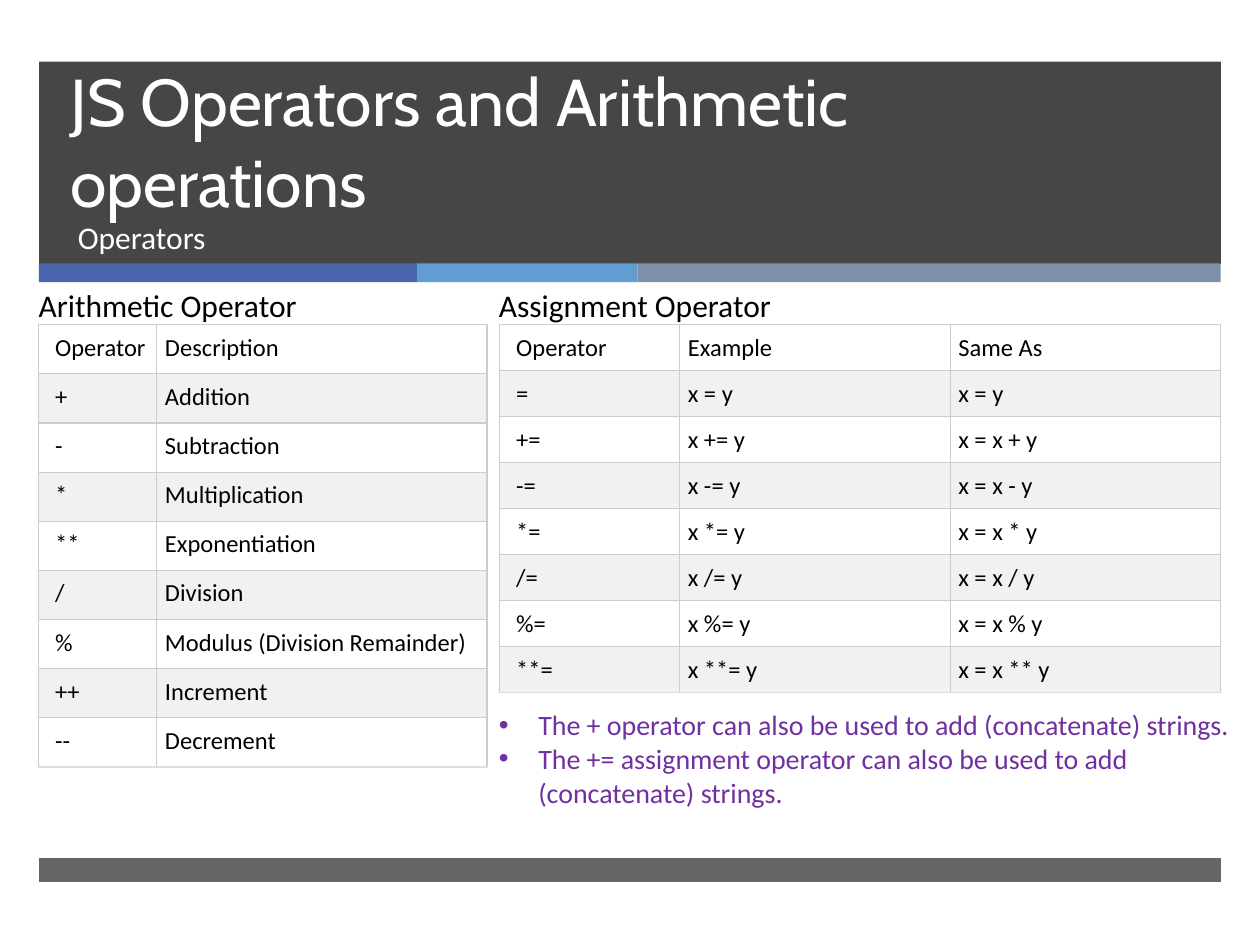
from lxml.etree import SubElement
from pptx import Presentation
from pptx.dml.color import RGBColor
from pptx.enum.shapes import MSO_SHAPE as Preset
from pptx.enum.text import MSO_ANCHOR as Anchor, MSO_AUTO_SIZE as AutoSize, PP_ALIGN as Align
from pptx.oxml.ns import qn
from pptx.util import Pt

COLORS = {
    "dark": "262626", "blue": "4A66AC", "sky": "629DD1", "slate": "7F8FA9",
    "white": "FFFFFF", "black": "000000", "purple": "7030A0",
    "stripe": "F1F1F1", "grid": "CCCCCC", "table_end": "DDDDDD",
}


def write(frame, *lines, size=18, color="black", font="Calibri", spacing=None, bullet=None):
    """Fill a text frame with one paragraph per line."""
    frame.word_wrap = True
    for i, line in enumerate(lines):
        paragraph = frame.paragraphs[0] if i == 0 else frame.add_paragraph()
        paragraph.alignment = Align.LEFT
        if spacing:
            paragraph.line_spacing = Pt(spacing)
        if bullet:
            props = paragraph._p.get_or_add_pPr()
            props.set("marL", str(Pt(22.5)))
            props.set("indent", str(-Pt(22.5)))
            SubElement(props, qn("a:buFont"), typeface="Arial")
            SubElement(props, qn("a:buChar"), char=bullet)
        run = paragraph.add_run()
        run.text = line
        run.font.name = font
        run.font.size = Pt(size)
        run.font.color.rgb = RGBColor.from_string(COLORS[color])


def add_border(cell, side, color):
    """Draw one thin side of a table cell."""
    line = SubElement(cell._tc.get_or_add_tcPr(), qn(f"a:ln{side}"), w=str(Pt(0.75)))
    SubElement(SubElement(line, qn("a:solidFill")), qn("a:srgbClr"), val=COLORS[color])


deck = Presentation()
deck.slide_width, deck.slide_height = Pt(720), Pt(540)
slide = deck.slides.add_slide(deck.slide_layouts[5])
shapes = slide.shapes

# Header band, accent stripe and footer band: left, top, width, height, color, opacity
bands = [
    (22.3, 35.2, 675.3, 115.6, "dark", 85),
    (22.3, 150.5, 216, 10.8, "blue", 100),
    (238.3, 150.5, 126, 10.8, "sky", 100),
    (364.3, 150.5, 333.3, 10.8, "slate", 100),
    (22.3, 490.3, 675.3, 13.7, "dark", 70),
]
for left, top, width, height, color, opacity in bands:
    band = shapes.add_shape(Preset.RECTANGLE, Pt(left), Pt(top), Pt(width), Pt(height))
    band.shadow.inherit = False
    band.line.fill.background()
    band.fill.solid()
    band.fill.fore_color.rgb = RGBColor.from_string(COLORS[color])
    if opacity < 100:
        tint = band.element.spPr.find(".//" + qn("a:srgbClr"))
        SubElement(tint, qn("a:alpha"), val=str(opacity * 1000))

# Title, brought in front of the header band
title = shapes.title
shapes.element.append(title.element)
title.left, title.top, title.width, title.height = Pt(33.1), Pt(43.9), Pt(614.9), Pt(85.7)
title.text_frame.auto_size = AutoSize.NONE
title.text_frame.vertical_anchor = Anchor.BOTTOM
write(title.text_frame, "JS Operators and Arithmetic operations",
      size=37.8, color="white", font="Cabin", spacing=46)

# Subtitle and table headings
labels = [
    ("Operators", 37.4, 121, 610.6, 38.2, "white"),
    ("Arithmetic Operator", 15, 159.8, 165, 29, "black"),
    ("Assignment Operator", 278, 159.8, 197, 29, "black"),
]
for text, left, top, width, height, color in labels:
    label = shapes.add_textbox(Pt(left), Pt(top), Pt(width), Pt(height))
    write(label.text_frame, text, color=color)

# Operator tables
arithmetic = [
    ("Operator", "Description"),
    ("+", "Addition"),
    ("-", "Subtraction"),
    ("*", "Multiplication"),
    ("**", "Exponentiation"),
    ("/", "Division"),
    ("%", "Modulus (Division Remainder)"),
    ("++", "Increment"),
    ("--", "Decrement"),
]
assignment = [("Operator", "Example", "Same As"), ("=", "x = y", "x = y")]
for sign in ("+", "-", "*", "/", "%", "**"):
    assignment.append((f"{sign}=", f"x {sign}= y", f"x = x {sign} y"))

tables = [
    (arithmetic, 22.1, (67.5, 188.7), 28.1),
    (assignment, 285.6, (102.8, 154.6, 154.6), 26.3),
]
for rows, left, widths, row_height in tables:
    frame = shapes.add_table(len(rows), len(widths), Pt(left), Pt(185.5),
                             Pt(sum(widths)), Pt(row_height * len(rows)))
    table = frame.table
    for column, width in zip(table.columns, widths):
        column.width = Pt(width)
    for r, row in enumerate(rows):
        table.rows[r].height = Pt(row_height)
        for c, text in enumerate(row):
            cell = table.cell(r, c)
            cell.margin_left = Pt(9.4 if c == 0 else 4.7)
            cell.margin_right = cell.margin_top = cell.margin_bottom = Pt(4.7)
            for side in "LRTB":
                at_end = side == "B" and r == len(rows) - 1
                add_border(cell, side, "table_end" if at_end else "grid")
            cell.fill.solid()
            cell.fill.fore_color.rgb = RGBColor.from_string(COLORS["stripe" if r % 2 else "white"])
            write(cell.text_frame, text, size=14)

# Notes on strings
string_notes = shapes.add_textbox(Pt(278), Pt(401), Pt(442), Pt(65.5))
write(string_notes.text_frame,
      "The + operator can also be used to add (concatenate) strings.",
      "The += assignment operator can also be used to add (concatenate) strings.",
      size=16, color="purple", bullet="•")

deck.save("out.pptx")
